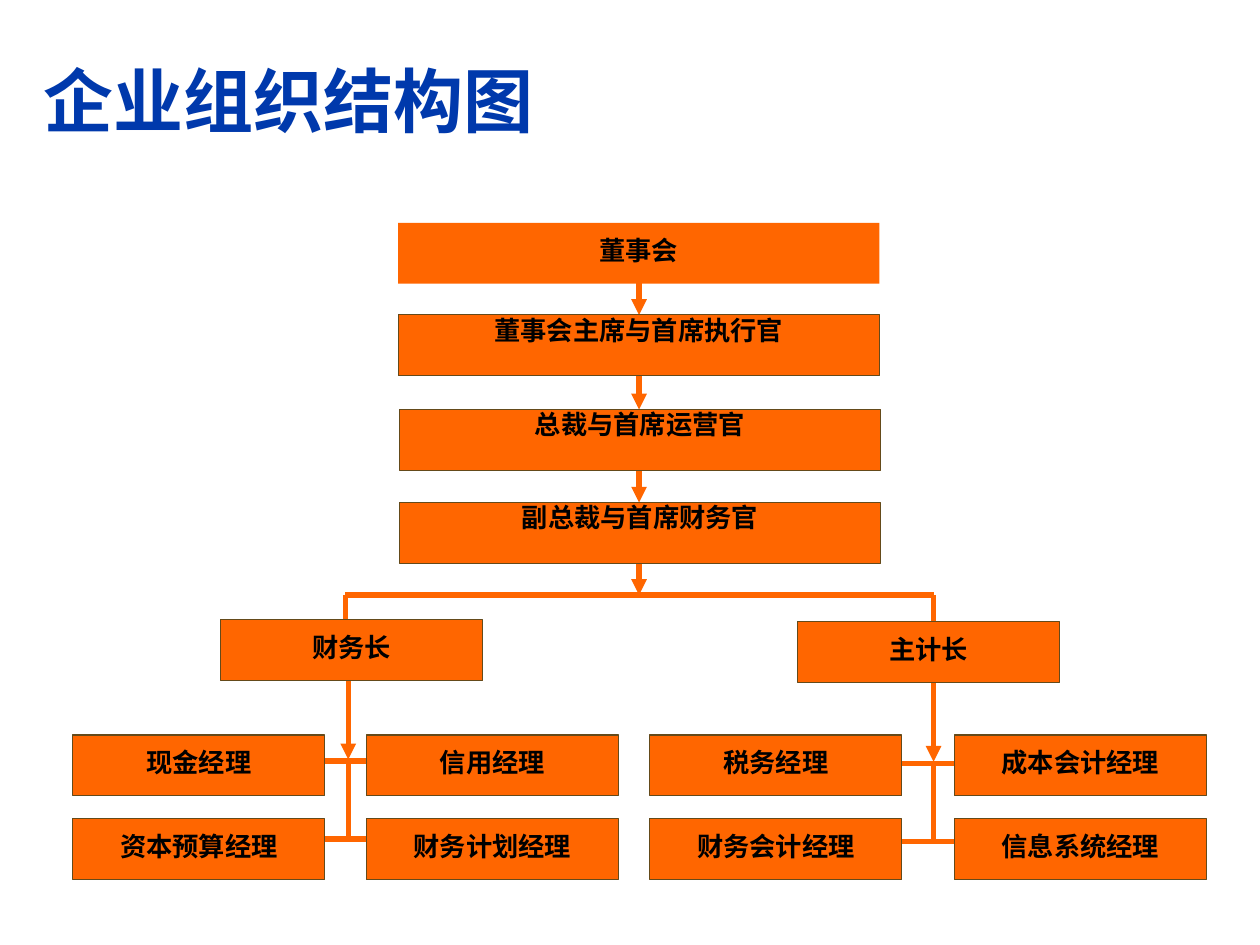
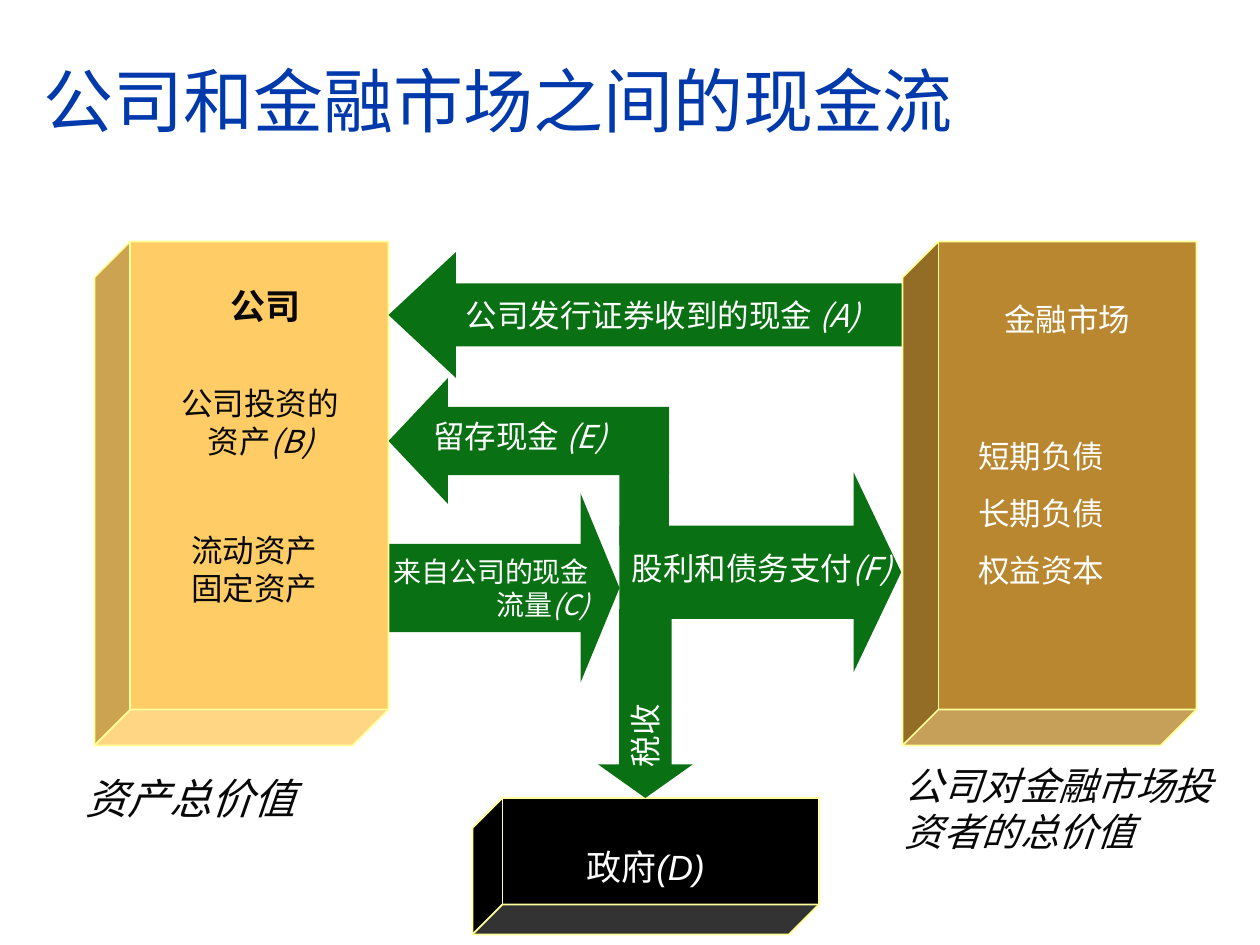
from lxml import etree
from pptx import Presentation
from pptx.dml.color import RGBColor
from pptx.enum.shapes import MSO_CONNECTOR, MSO_SHAPE
from pptx.enum.text import MSO_ANCHOR, PP_ALIGN
from pptx.oxml.ns import qn
from pptx.util import Pt

RECTANGLE = MSO_SHAPE.RECTANGLE
CUBE = MSO_SHAPE.CUBE
LEFT_ARROW = MSO_SHAPE.LEFT_ARROW
RIGHT_ARROW = MSO_SHAPE.RIGHT_ARROW
STRAIGHT = MSO_CONNECTOR.STRAIGHT
LEFT, CENTER, RIGHT = PP_ALIGN.LEFT, PP_ALIGN.CENTER, PP_ALIGN.RIGHT
TOP, MIDDLE = MSO_ANCHOR.TOP, MSO_ANCHOR.MIDDLE

BLUE = RGBColor(0x00, 0x39, 0xAC)
ORANGE = RGBColor(0xFF, 0x66, 0x00)
BROWN = RGBColor(0x64, 0x4A, 0x1A)
GREEN = RGBColor(0x09, 0x71, 0x13)
SAND = RGBColor(0xFF, 0xCC, 0x66)
OCHRE = RGBColor(0xB8, 0x87, 0x30)
PALE_YELLOW = RGBColor(0xFF, 0xFF, 0x99)
BLACK = RGBColor(0x00, 0x00, 0x00)
INK = RGBColor(0x08, 0x08, 0x08)
WHITE = RGBColor(0xFF, 0xFF, 0xFF)

ARIAL = "Arial"
SANS = "Noto Sans CJK SC"
SERIF = "Times New Roman"


def write(shape, text, size=18, color=WHITE, font=SANS, tail_font=None, bold=False,
          italic=False, align=LEFT, anchor=TOP, wrap=False, spacing=None,
          before=0, margins=(7.2, 3.6)):
    frame = shape.text_frame
    frame.word_wrap = wrap
    frame.vertical_anchor = anchor
    frame.margin_left = frame.margin_right = Pt(margins[0])
    frame.margin_top = frame.margin_bottom = Pt(margins[1])
    for number, line in enumerate(text.split("\n")):
        para = frame.add_paragraph() if number else frame.paragraphs[0]
        para.alignment = align
        if spacing:
            para.line_spacing = spacing
        if number and before:
            para.space_before = Pt(before)
        plain, _, tail = line.partition("|")
        for part, slanted, face in ((plain, italic, font), (tail, True, tail_font or font)):
            if part:
                span = para.add_run()
                span.text = part
                span.font.size = Pt(size)
                span.font.name = face
                span.font.bold = bold
                span.font.italic = slanted
                span.font.color.rgb = color
                etree.SubElement(span._r.get_or_add_rPr(), qn("a:ea"), typeface=SANS)


def connect(page, start_x, start_y, end_x, end_y, arrow=False):
    connector = page.shapes.add_connector(
        STRAIGHT, Pt(start_x), Pt(start_y), Pt(end_x), Pt(end_y))
    connector.line.color.rgb = ORANGE
    connector.line.width = Pt(3)
    properties = connector._element.spPr
    if arrow:
        etree.SubElement(properties.find(qn("a:ln")), qn("a:tailEnd"), type="triangle")
    etree.SubElement(properties, qn("a:effectLst"))


deck = Presentation()
deck.slide_width, deck.slide_height = Pt(720), Pt(540)
pages = []
for title, bold in (("企业组织结构图", True), ("公司和金融市场之间的现金流", False)):
    page = deck.slides.add_slide(deck.slide_layouts[6])
    box = page.shapes.add_textbox(Pt(18), Pt(12), Pt(672.5), Pt(90))
    write(box, title, size=40, color=BLUE, font=ARIAL, bold=bold, anchor=MIDDLE, wrap=True)
    pages.append(page)
chart_page, flow_page = pages

BOX_HEIGHT = 34.8
SPINE_X = 365.2
SPLIT_Y = 340
executives = [
    ("董事会", 227.5, 127.4, 10.8),
    ("董事会主席与首席执行官", 227.5, 180, 3.6),
    ("总裁与首席运营官", 228.2, 234, 3.6),
    ("副总裁与首席财务官", 228.2, 287.2, 3.6),
]
branches = [
    ("财务长", 126, 354.2, 199, 434.9, 197.3, (41.6, 209.3),
     (("现金经理", "信用经理"), ("资本预算经理", "财务计划经理"))),
    ("主计长", 455.6, 355.2, 533.5, 436.3, 533.5, (371.4, 545.4),
     (("税务经理", "成本会计经理"), ("财务会计经理", "信息系统经理"))),
]
org_boxes = [(name, left, top, 275, inset) for name, left, top, inset in executives]
for tip in [top for _, _, top, _ in executives[1:]] + [SPLIT_Y]:
    connect(chart_page, SPINE_X, tip - 22, SPINE_X, tip, arrow=True)
connect(chart_page, branches[0][5], SPLIT_Y, branches[1][5], SPLIT_Y)
for head, left, top, trunk_x, joint_y, drop_x, columns, staff in branches:
    org_boxes.append((head, left, top, 150, 10.8))
    connect(chart_page, drop_x, SPLIT_Y, drop_x, top + 3)
    connect(chart_page, trunk_x, top + BOX_HEIGHT, trunk_x, joint_y - 1, arrow=True)
    connect(chart_page, trunk_x, joint_y, trunk_x, joint_y + 44.6)
    for row, names in enumerate(staff):
        rung_y = joint_y + 44.6 * row
        connect(chart_page, columns[0] + 144, rung_y, columns[1], rung_y)
        for name, column in zip(names, columns):
            org_boxes.append((name, column, 420 + 48 * row, 144, 10.8))

for name, left, top, width, inset in org_boxes:
    box = chart_page.shapes.add_shape(RECTANGLE, Pt(left), Pt(top), Pt(width), Pt(BOX_HEIGHT))
    box.shadow.inherit = False
    box.fill.solid()
    box.fill.fore_color.rgb = ORANGE
    if name == "董事会":
        box.line.fill.background()
    else:
        box.line.color.rgb = BROWN
        box.line.width = Pt(0.62)
    write(box, name, size=15, color=BLACK, font=ARIAL, bold=True, align=CENTER,
          spacing=0.75, margins=(0, inset))

flow_shapes = [
    (RIGHT_ARROW, 222, 282, 132, 108, (0.467, 0.206), GREEN, 0,
     "来自公司的现金\n流量|(C)", dict(size=16, align=RIGHT)),
    (CUBE, 54, 138, 168, 288, (0.122,), SAND, 0, "", {}),
    (CUBE, 270, 456, 198, 78, (0.22,), BLACK, 0, "", {}),
    (LEFT_ARROW, 222, 144, 294, 72, (0.5, 0.536), GREEN, 0,
     "公司发行证券收到的现金 |(A)", dict(align=CENTER)),
    (LEFT_ARROW, 314.8, 375, 108, 54, (0.554, 0.355), GREEN, 270, "税收", {}),
    (RECTANGLE, 354, 246, 28.3, 65.5, (), GREEN, 0, "", {}),
    (LEFT_ARROW, 222, 216, 160.3, 72, (0.542, 0.472), GREEN, 0,
     "留存现金 |(E)", dict(spacing=0.7)),
    (RIGHT_ARROW, 354, 270, 161, 114, (0.467, 0.238), GREEN, 0,
     "股利和债务支付|(F)", dict(spacing=0.75)),
    (CUBE, 515.8, 138, 168, 288, (0.122,), OCHRE, 0, "", {}),
]
for kind, left, top, width, height, ratios, fill, turn, text, style in flow_shapes:
    shape = flow_page.shapes.add_shape(kind, Pt(left), Pt(top), Pt(width), Pt(height))
    shape.shadow.inherit = False
    shape.rotation = turn
    for index, ratio in enumerate(ratios):
        shape.adjustments[index] = ratio
    shape.fill.solid()
    shape.fill.fore_color.rgb = fill
    if kind == CUBE:
        shape.line.color.rgb = PALE_YELLOW
        shape.line.width = Pt(1)
        frame_transform = shape._element.spPr.find(qn("a:xfrm"))
        frame_transform.set("flipH", "1")
        frame_transform.set("flipV", "1")
    else:
        shape.line.fill.background()
    if text:
        write(shape, text, anchor=MIDDLE, **style)

flow_labels = [
    ("公司", 118, 159, 67.7, 31.7,
     dict(size=20, color=INK, font=ARIAL, bold=True, align=CENTER)),
    ("政府|(D)", 325.4, 479.5, 87, 31.7, dict(size=20, tail_font=ARIAL, align=CENTER)),
    ("公司投资的\n资产|(B)", 96.5, 216, 104.4, 50.4, dict(color=INK, align=CENTER)),
    ("流动资产\n固定资产", 102.2, 300, 86.4, 50.4, dict(color=INK)),
    ("金融市场", 540, 168, 139.7, 28.8, dict(align=CENTER)),
    ("短期负债\n长期负债\n权益资本", 552, 246, 108, 95, dict(before=11.2)),
    ("资产总价值", 42, 438, 228, 36,
     dict(size=24, color=INK, font=SERIF, italic=True)),
    ("公司对金融市场投资者的总价值", 510, 432, 210, 60.5,
     dict(size=22, color=INK, font=SERIF, italic=True, wrap=True)),
]
for text, left, top, width, height, style in flow_labels:
    box = flow_page.shapes.add_textbox(Pt(left), Pt(top), Pt(width), Pt(height))
    write(box, text, **style)

deck.save("out.pptx")
